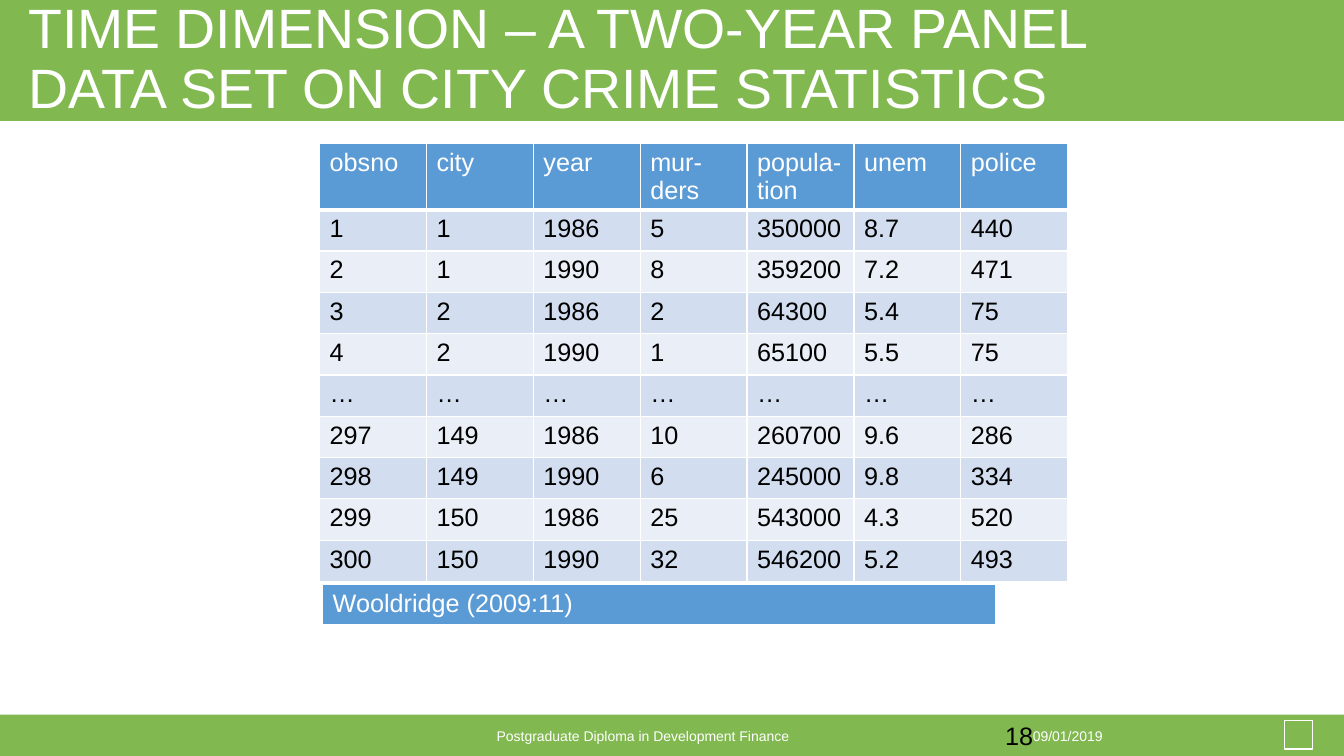
from lxml import etree
from pptx import Presentation
from pptx.dml.color import RGBColor
from pptx.enum.shapes import MSO_SHAPE
from pptx.enum.text import MSO_ANCHOR, MSO_AUTO_SIZE, PP_ALIGN
from pptx.oxml.ns import qn
from pptx.util import Inches, Pt

RECT = MSO_SHAPE.RECTANGLE
MIDDLE = MSO_ANCHOR.MIDDLE
NO_FIT = MSO_AUTO_SIZE.NONE
LEFT, CENTER = PP_ALIGN.LEFT, PP_ALIGN.CENTER

CRIME_ROWS = [
    ["obsno", "city", "year", "mur-ders", "popula-tion", "unem", "police"],
    ["1", "1", "1986", "5", "350000", "8.7", "440"],
    ["2", "1", "1990", "8", "359200", "7.2", "471"],
    ["3", "2", "1986", "2", "64300", "5.4", "75"],
    ["4", "2", "1990", "1", "65100", "5.5", "75"],
    ["…"] * 7,
    ["297", "149", "1986", "10", "260700", "9.6", "286"],
    ["298", "149", "1990", "6", "245000", "9.8", "334"],
    ["299", "150", "1986", "25", "543000", "4.3", "520"],
    ["300", "150", "1990", "32", "546200", "5.2", "493"],
]


def rgb(value):
    """Turn a hex string into a colour."""
    return RGBColor.from_string(value)


def write(tf, text, size=18, color="000000", align=LEFT, spacing=None):
    """Write one formatted paragraph into a text frame."""
    tf.word_wrap = True
    p = tf.paragraphs[0]
    p.alignment = align
    p.line_spacing = spacing
    r = p.add_run()
    r.text = text
    r.font.size = Pt(size)
    r.font.name = "Arial"
    r.font.color.rgb = rgb(color)


class SlideBuilder:
    """Holds the style and the slide being built."""

    GREEN, BLUE, WHITE = "81B850", "5B9BD5", "FFFFFF"
    BANDS = ["D2DEEF", "EAEFF7"]

    def __init__(self, s):
        """Start on a slide."""
        self.s = s

    def box(self, x, y, w, h, fill=None, line=None):
        """Add a rectangle."""
        sp = self.s.shapes.add_shape(RECT, Inches(x), Inches(y), Inches(w), Inches(h))
        sp.shadow.inherit = False
        if fill:
            sp.fill.solid()
            sp.fill.fore_color.rgb = rgb(fill)
        else:
            sp.fill.background()
        if line:
            sp.line.color.rgb = rgb(line)
            sp.line.width = Pt(1)
        else:
            sp.line.fill.background()

    def text(self, x, y, w, h, text, **style):
        """Add a text box."""
        sp = self.s.shapes.add_textbox(Inches(x), Inches(y), Inches(w), Inches(h))
        write(sp.text_frame, text, **style)

    def title(self, x, y, w, h, text):
        """Place and fill the title in front of the band."""
        sp = self.s.shapes.title
        sp.left, sp.top, sp.width, sp.height = Inches(x), Inches(y), Inches(w), Inches(h)
        tf = sp.text_frame
        tf.auto_size = NO_FIT
        tf.vertical_anchor = MIDDLE
        write(tf, text, size=39.6, color=self.WHITE, spacing=0.9)
        self.s.shapes._spTree.append(sp._element)

    def borders(self, cell, bottom):
        """Draw white lines round a cell."""
        tc_pr = cell._tc.get_or_add_tcPr()
        for side, width in (("L", 1), ("R", 1), ("T", 1), ("B", bottom)):
            ln = etree.SubElement(tc_pr, qn(f"a:ln{side}"), w=str(Pt(width)))
            fill = etree.SubElement(ln, qn("a:solidFill"))
            etree.SubElement(fill, qn("a:srgbClr"), val=self.WHITE)

    def table(self, x, y, col_width, heights, rows):
        """Add a table with a blue header and banded rows."""
        n_cols = len(rows[0])
        frame = self.s.shapes.add_table(len(rows), n_cols, Inches(x), Inches(y),
                                        Inches(col_width * n_cols), Inches(sum(heights)))
        table = frame.table
        for column in table.columns:
            column.width = Inches(col_width)
        for i, (values, height) in enumerate(zip(rows, heights)):
            table.rows[i].height = Inches(height)
            header = i == 0
            fill = self.BLUE if header else self.BANDS[(i - 1) % 2]
            for j, value in enumerate(values):
                cell = table.cell(i, j)
                self.borders(cell, bottom=3 if header else 1)
                cell.fill.solid()
                cell.fill.fore_color.rgb = rgb(fill)
                write(cell.text_frame, value, color=self.WHITE if header else "000000")


def main():
    """Build the slide and save it."""
    prs = Presentation()
    prs.slide_width, prs.slide_height = Inches(13.33), Inches(7.5)
    b = SlideBuilder(prs.slides.add_slide(prs.slide_layouts[5]))
    footer = {"size": 10, "color": b.WHITE, "align": CENTER}

    b.box(0, 0, 13.33, 1.2, fill=b.GREEN)
    b.box(0, 7.09, 13.33, 0.41, fill=b.GREEN)
    b.text(2.99, 7.17, 6.77, 0.27, "Postgraduate Diploma in Development Finance", **footer)
    b.box(12.74, 7.15, 0.28, 0.28, line=b.WHITE)
    b.text(8.44, 7.17, 4.3, 0.27, "09/01/2019", **footer)
    b.title(0.18, 0, 12.12, 1.2,
            "TIME DIMENSION – A TWO-YEAR PANEL DATA SET ON CITY CRIME STATISTICS")
    b.table(3.17, 1.42, 1.06, [0.66] + [0.41] * 9, CRIME_ROWS)
    b.text(9.87, 7.1, 2.88, 0.4, "18")
    b.table(3.2, 5.8, 6.67, [0.41], [["Wooldridge (2009:11)"]])
    prs.save("out.pptx")


if __name__ == "__main__":
    main()
